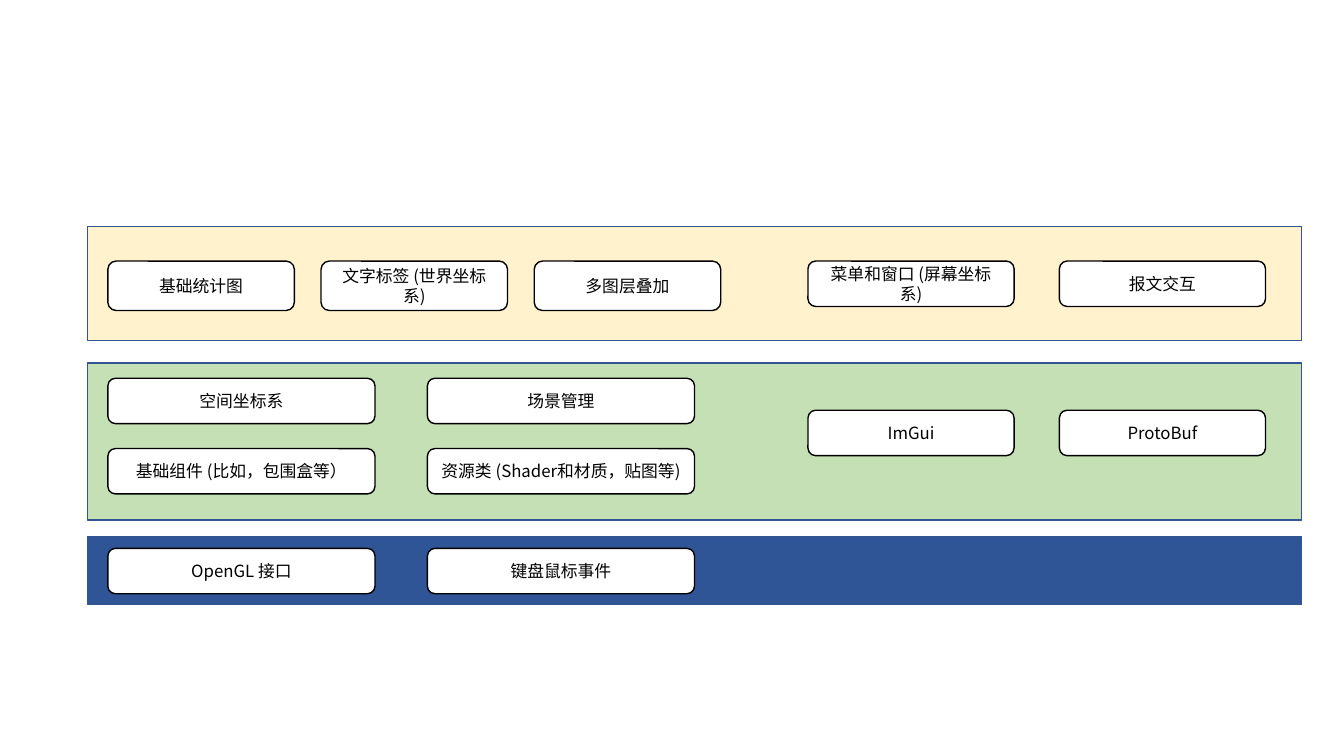
from pptx import Presentation
from pptx.dml.color import RGBColor
from pptx.enum import shapes, text
from pptx.oxml import ns
from pptx.util import Pt
from lxml import etree

FONT = "Noto Sans CJK SC"
BLACK = RGBColor(0x00, 0x00, 0x00)
WHITE = RGBColor(0xFF, 0xFF, 0xFF)
BORDER = RGBColor(0x32, 0x54, 0x91)
CREAM = RGBColor(0xFF, 0xF2, 0xCC)
GREEN = RGBColor(0xC5, 0xE0, 0xB4)
BLUE = RGBColor(0x2F, 0x55, 0x97)

BAND_X, BAND_W = 62.64, 866.88
MARGIN = 14.4
WIDE = dict(x=MARGIN, pitch=228.24, w=190.8, h=32.4)
CHART = dict(x=MARGIN, pitch=152.28, w=133.2, h=35.28)
SIDE = dict(x=514.5, pitch=179.6, w=147.2, h=32.4)


def add_block(s, kind, x, y, w, h, fill, line):
    """Add a flat shape with a 1 pt outline."""
    sp = s.shapes.add_shape(kind, Pt(x), Pt(y), Pt(w), Pt(h))
    sp.shadow.inherit = False
    sp.fill.solid()
    sp.fill.fore_color.rgb = fill
    sp.line.color.rgb = line
    sp.line.width = Pt(1)
    return sp


def add_module(s, x, y, w, h, label):
    """Add a white rounded box with a centred label."""
    sp = add_block(s, shapes.MSO_SHAPE.ROUNDED_RECTANGLE, x, y, w, h, WHITE, BLACK)
    tf = sp.text_frame
    tf.text = label
    tf.word_wrap = True
    tf.vertical_anchor = text.MSO_ANCHOR.MIDDLE
    p = tf.paragraphs[0]
    p.alignment = text.PP_ALIGN.CENTER
    r = p.runs[0]
    r.font.size = Pt(12)
    r.font.name = FONT
    r.font.color.rgb = BLACK
    ea = etree.SubElement(r.font._element, ns.qn("a:ea"))
    ea.set("typeface", FONT)


def add_row(s, box, y, labels, x, pitch, w, h):
    """Place evenly spaced modules at offset x, y inside a box."""
    for i, label in enumerate(labels):
        add_module(s, box[0] + x + i * pitch, box[1] + y, w, h, label)


def add_band(s, box, fill):
    """Draw the background of one layer."""
    add_block(s, shapes.MSO_SHAPE.RECTANGLE, *box, fill, BORDER)


def add_feature_layer(s, box):
    """Draw the top layer: charts, labels, windows and messages."""
    add_band(s, box, CREAM)
    add_row(s, box, 24.48, ["基础统计图", "文字标签 (世界坐标系)", "多图层叠加"], **CHART)
    add_row(s, box, 24.48, ["菜单和窗口 (屏幕坐标系)", "报文交互"], **SIDE)


def add_core_layer(s, box):
    """Draw the middle layer: scene components and libraries."""
    add_band(s, box, GREEN)
    add_row(s, box, 11, ["空间坐标系", "场景管理"], **WIDE)
    add_row(s, box, 61.2, ["基础组件 (比如，包围盒等）", "资源类 (Shader和材质，贴图等)"], **WIDE)
    add_row(s, box, 33.84, ["ImGui", "ProtoBuf"], **SIDE)


def add_platform_layer(s, box):
    """Draw the bottom layer: graphics interface and input events."""
    add_band(s, box, BLUE)
    add_row(s, box, 8.64, ["OpenGL 接口", "键盘鼠标事件"], **WIDE)


prs = Presentation()
prs.slide_width, prs.slide_height = Pt(960), Pt(540)
s = prs.slides.add_slide(prs.slide_layouts[6])
add_platform_layer(s, (BAND_X, 383.04, BAND_W, 48.96))
add_core_layer(s, (BAND_X, 259.2, BAND_W, 112.32))
add_feature_layer(s, (BAND_X, 162, BAND_W, 81.36))
prs.save("out.pptx")
